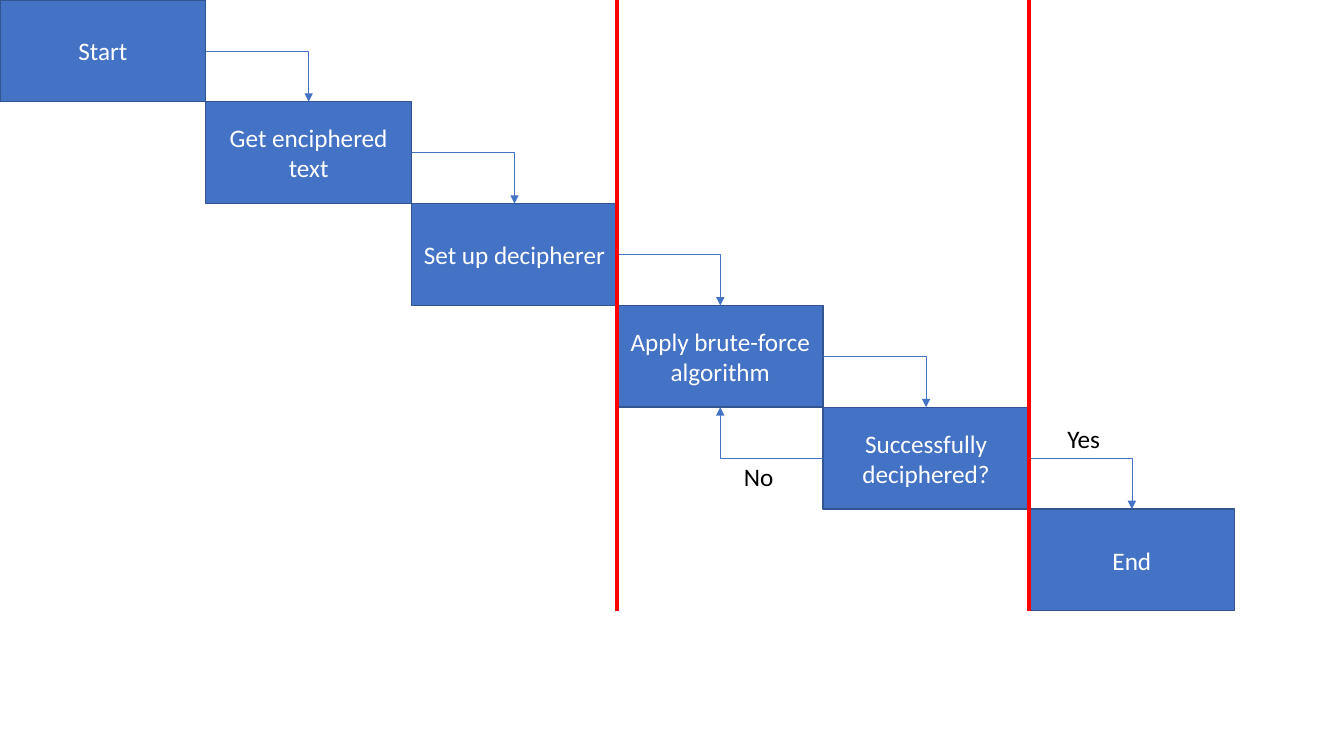
from dataclasses import dataclass

import pptx
import pptx.dml.color
import pptx.enum.shapes
import pptx.enum.text
import pptx.oxml.ns
import pptx.oxml.xmlchemy
import pptx.shapes.autoshape
import pptx.shapes.connector
import pptx.slide
import pptx.text.text
import pptx.util

Pt = pptx.util.Pt
RGBColor = pptx.dml.color.RGBColor
OxmlElement = pptx.oxml.xmlchemy.OxmlElement
qn = pptx.oxml.ns.qn

BLUE = RGBColor(0x44, 0x72, 0xC4)
DARK_BLUE = RGBColor(0x32, 0x54, 0x91)
RED = RGBColor(0xFF, 0x00, 0x00)
WHITE = RGBColor(0xFF, 0xFF, 0xFF)
BLACK = RGBColor(0x00, 0x00, 0x00)

STEP_WIDTH = 147
STEP_HEIGHT = 72.72
TOP, LEFT, BOTTOM, RIGHT = range(4)


@dataclass(frozen=True)
class Arrow:
    source: int
    source_side: int
    target: int
    target_side: int


@dataclass(frozen=True)
class Label:
    text: str
    left: float
    top: float


STEPS = [
    "Start",
    "Get enciphered text",
    "Set up decipherer",
    "Apply brute-force algorithm",
    "Successfully deciphered?",
    "End",
]
ARROWS = [Arrow(i, RIGHT, i + 1, TOP) for i in range(len(STEPS) - 1)]
ARROWS.append(Arrow(4, LEFT, 3, BOTTOM))
LABELS = [Label("No", 524.3, 326.3), Label("Yes", 755.3, 298.8)]
DIVIDERS = [3, 5]


def format_text(frame: pptx.text.text.TextFrame, text: str, color: RGBColor) -> None:
    frame.text = text
    frame.word_wrap = True
    font = frame.paragraphs[0].runs[0].font
    font.name = "Calibri"
    font.size = Pt(18)
    font.color.rgb = color


def draw_step(page: pptx.slide.Slide, index: int, text: str) -> pptx.shapes.autoshape.Shape:
    box = page.shapes.add_shape(
        pptx.enum.shapes.MSO_SHAPE.RECTANGLE,
        Pt(index * STEP_WIDTH), Pt(index * STEP_HEIGHT), Pt(STEP_WIDTH), Pt(STEP_HEIGHT),
    )
    box.shadow.inherit = False
    box.fill.solid()
    box.fill.fore_color.rgb = BLUE
    box.line.color.rgb = DARK_BLUE
    box.line.width = Pt(1)
    format_text(box.text_frame, text, WHITE)
    box.text_frame.vertical_anchor = pptx.enum.text.MSO_ANCHOR.MIDDLE
    box.text_frame.paragraphs[0].alignment = pptx.enum.text.PP_ALIGN.CENTER
    return box


def format_line(line: pptx.shapes.connector.Connector, color: RGBColor, width: float) -> None:
    line.line.color.rgb = color
    line.line.width = Pt(width)
    line._element.spPr.append(OxmlElement("a:effectLst"))


def draw_arrow(
    page: pptx.slide.Slide, arrow: Arrow, boxes: list[pptx.shapes.autoshape.Shape]
) -> None:
    line = page.shapes.add_connector(pptx.enum.shapes.MSO_CONNECTOR.ELBOW, 0, 0, 0, 0)
    line.begin_connect(boxes[arrow.source], arrow.source_side)
    line.end_connect(boxes[arrow.target], arrow.target_side)
    format_line(line, BLUE, 0.5)
    properties = line._element.spPr
    properties.find(qn("a:prstGeom")).set("prst", "bentConnector2")
    head = OxmlElement("a:tailEnd")
    head.set("type", "triangle")
    properties.find(qn("a:ln")).append(head)


def draw_label(page: pptx.slide.Slide, label: Label) -> None:
    box = page.shapes.add_textbox(Pt(label.left), Pt(label.top), Pt(53.3), Pt(29))
    format_text(box.text_frame, label.text, BLACK)


def draw_divider(page: pptx.slide.Slide, column: int) -> None:
    x = Pt(column * STEP_WIDTH)
    line = page.shapes.add_connector(
        pptx.enum.shapes.MSO_CONNECTOR.STRAIGHT, x, Pt(len(STEPS) * STEP_HEIGHT), x, 0
    )
    format_line(line, RED, 3)


def main() -> None:
    deck = pptx.Presentation()
    deck.slide_width, deck.slide_height = Pt(960), Pt(540)
    page = deck.slides.add_slide(deck.slide_layouts[6])
    boxes = [draw_step(page, index, text) for index, text in enumerate(STEPS)]
    for arrow in ARROWS:
        draw_arrow(page, arrow, boxes)
    for label in LABELS:
        draw_label(page, label)
    for column in DIVIDERS:
        draw_divider(page, column)
    deck.save("out.pptx")


if __name__ == "__main__":
    main()
